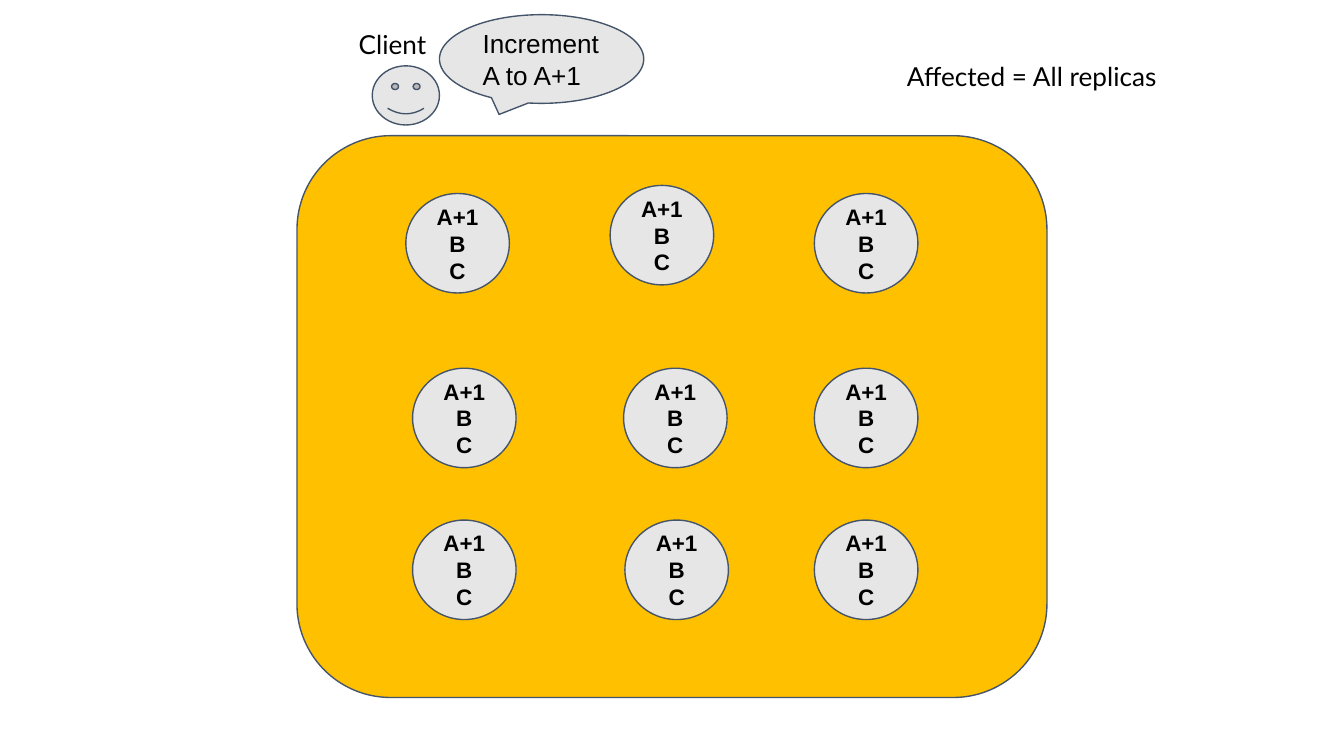
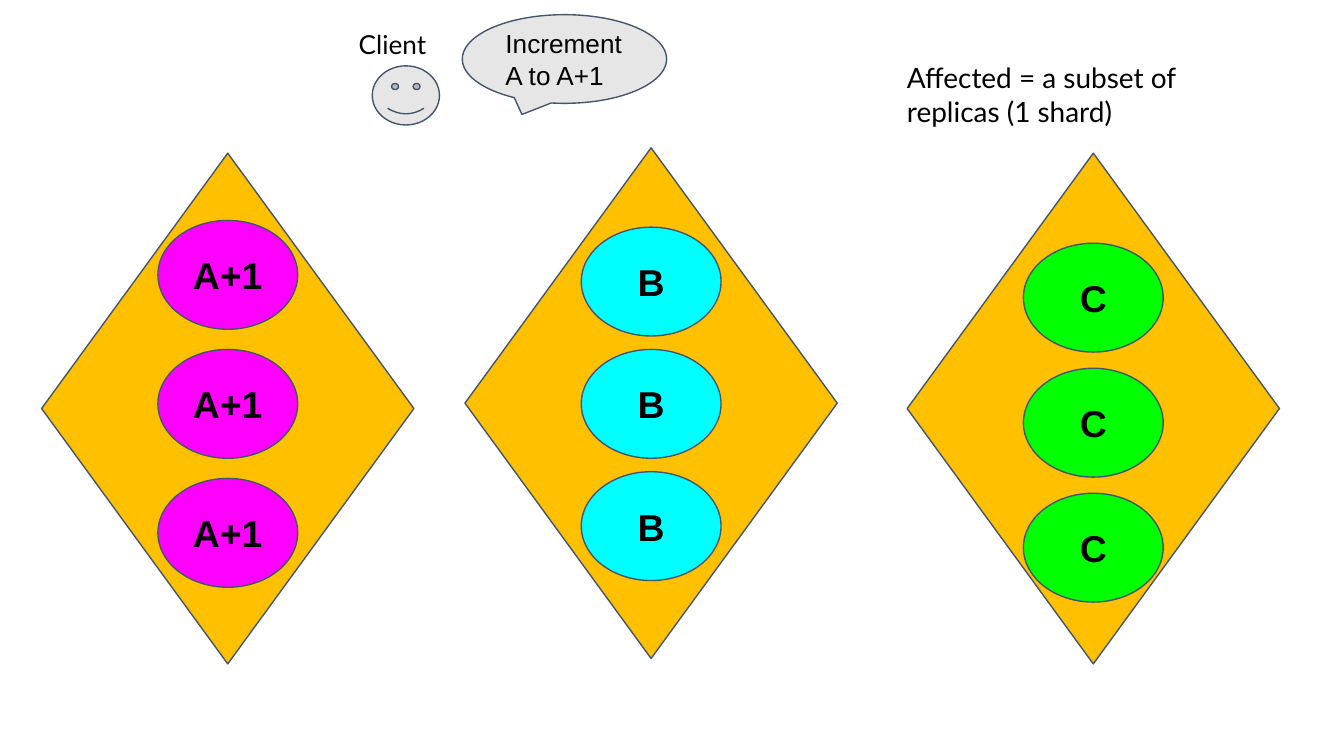
from dataclasses import dataclass

from pptx import Presentation
from pptx.dml.color import RGBColor
from pptx.enum import shapes, text
from pptx.util import Inches, Pt


@dataclass(frozen=True)
class Theme:
    ink: str = "000000"
    outline: str = "44546A"
    neutral: str = "E7E6E6"
    cluster: str = "FFC000"
    shard_a: str = "FF00FF"
    shard_b: str = "00FFFF"
    shard_c: str = "00FF00"
    label_font: str = "Lato"
    shape_font: str = "Arial"
    label_size: int = 14
    caption_size: int = 15
    replica_size: int = 12
    shard_size: int = 20
    line_width: float = 0.75
    inset: float = 0.1


@dataclass(frozen=True)
class Box:
    left: float
    top: float
    width: float
    height: float

    def inner(self, left, top, width, height):
        return Box(self.left + left, self.top + top, width, height)

    def lengths(self):
        return [Inches(side) for side in (self.left, self.top, self.width, self.height)]


THEME = Theme()
KIND = shapes.MSO_SHAPE


def write(shape, words, font, size, bold=False, align=text.PP_ALIGN.LEFT,
          anchor=text.MSO_ANCHOR.MIDDLE):
    frame = shape.text_frame
    frame.word_wrap = True
    frame.vertical_anchor = anchor
    frame.margin_left = frame.margin_right = Inches(THEME.inset)
    frame.margin_top = frame.margin_bottom = Inches(THEME.inset)
    frame.text = words
    for para in frame.paragraphs:
        para.alignment = align
        for span in para.runs:
            span.font.name = font
            span.font.size = Pt(size)
            span.font.bold = bold
            span.font.color.rgb = RGBColor.from_string(THEME.ink)


def add_figure(page, kind, box, fill):
    shape = page.shapes.add_shape(kind, *box.lengths())
    shape.shadow.inherit = False
    shape.fill.solid()
    shape.fill.fore_color.rgb = RGBColor.from_string(fill)
    shape.line.color.rgb = RGBColor.from_string(THEME.outline)
    shape.line.width = Pt(THEME.line_width)
    return shape


def add_label(page, box, words, size):
    label = page.shapes.add_textbox(*box.lengths())
    write(label, words, THEME.label_font, size, anchor=text.MSO_ANCHOR.TOP)
    label.text_frame.auto_size = text.MSO_AUTO_SIZE.SHAPE_TO_FIT_TEXT


def add_node(page, box, words, fill, size):
    node = add_figure(page, KIND.OVAL, box, fill)
    write(node, words, THEME.shape_font, size, bold=True, align=text.PP_ALIGN.CENTER)


def add_client(page, box, speech_left):
    add_label(page, box, "Client", THEME.label_size)
    speech = add_figure(page, KIND.OVAL_CALLOUT, box.inner(speech_left, 0, 1.52, 0.66),
                        THEME.neutral)
    write(speech, "Increment A to A+1", THEME.shape_font, THEME.label_size)
    add_figure(page, KIND.SMILEY_FACE, box.inner(0.2, 0.38, 0.5, 0.44), THEME.neutral)


def add_cluster(page, box):
    add_figure(page, KIND.ROUNDED_RECTANGLE, box, THEME.cluster)
    replica_rows = [
        [(0.81, 0.43), (2.33, 0.37), (3.85, 0.43)],
        [(0.86, 1.73), (2.43, 1.73), (3.85, 1.73)],
        [(0.86, 2.86), (2.44, 2.86), (3.85, 2.86)],
    ]
    for row in replica_rows:
        for left, top in row:
            add_node(page, box.inner(left, top, 0.77, 0.74), "A+1\nB\nC",
                     THEME.neutral, THEME.replica_size)


def add_shard(page, box, words, fill, first_top, step, replicas=3):
    add_figure(page, KIND.DIAMOND, box, THEME.cluster)
    width, height = 1.04, 0.81
    left = (box.width - width) / 2
    for index in range(replicas):
        add_node(page, box.inner(left, first_top + index * step, width, height),
                 words, fill, THEME.shard_size)


def build_replicated_page(page):
    add_client(page, Box(2.57, 0.11, 1.81, 0.44), speech_left=0.7)
    add_cluster(page, Box(2.21, 1.01, 5.58, 4.18))
    add_label(page, Box(6.65, 0.35, 2.93, 0.44), "Affected = All replicas",
              THEME.label_size)


def build_sharded_page(page):
    add_client(page, Box(2.57, 0.11, 1.81, 0.44), speech_left=0.87)
    shards = [
        (0.31, 1.14, "A+1", THEME.shard_a, 0.5, 0.96),
        (3.46, 1.1, "B", THEME.shard_b, 0.59, 0.91),
        (6.75, 1.14, "C", THEME.shard_c, 0.67, 0.93),
    ]
    for left, top, words, fill, first_top, step in shards:
        add_shard(page, Box(left, top, 2.77, 3.8), words, fill, first_top, step)
    add_label(page, Box(6.65, 0.35, 2.93, 0.71),
              "Affected = a subset of replicas (1 shard)", THEME.caption_size)


def main():
    deck = Presentation()
    deck.slide_width = Inches(10)
    deck.slide_height = Inches(10 * 9 / 16)
    for build_page in (build_replicated_page, build_sharded_page):
        build_page(deck.slides.add_slide(deck.slide_layouts[6]))
    deck.save("out.pptx")


if __name__ == "__main__":
    main()
